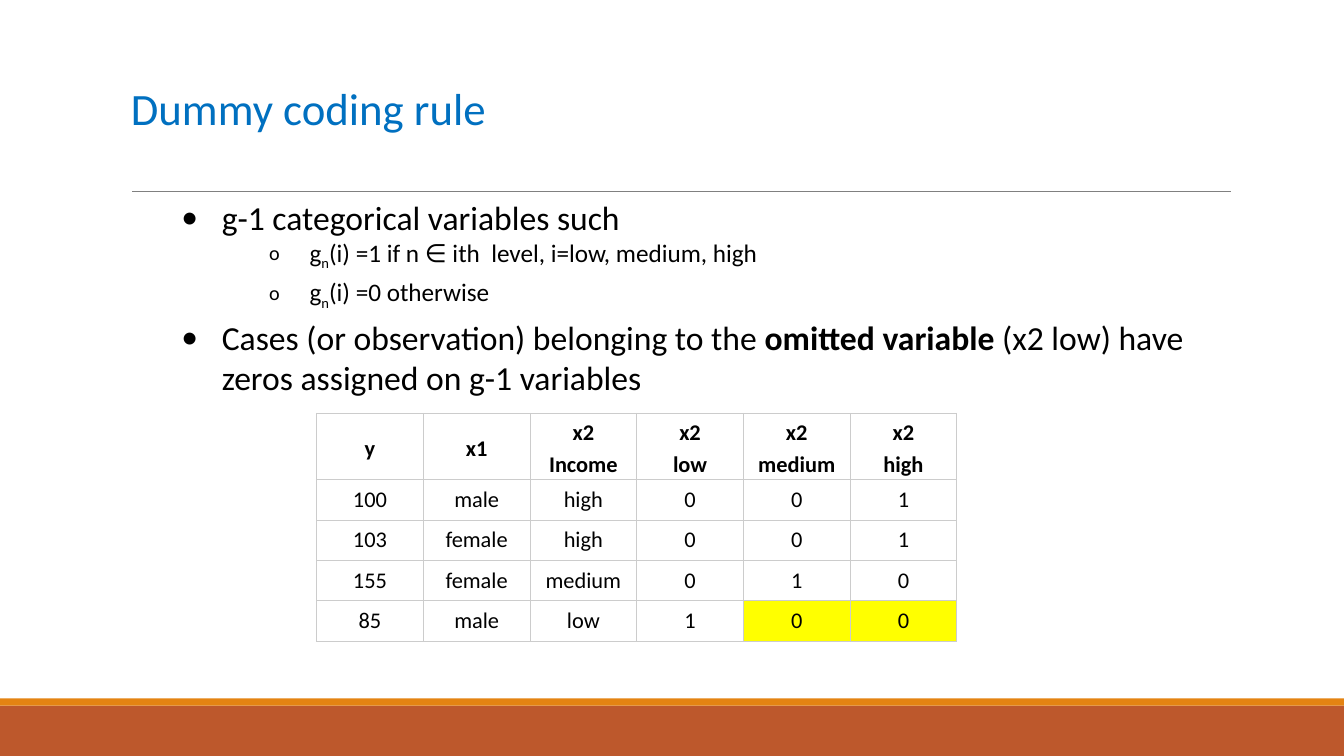
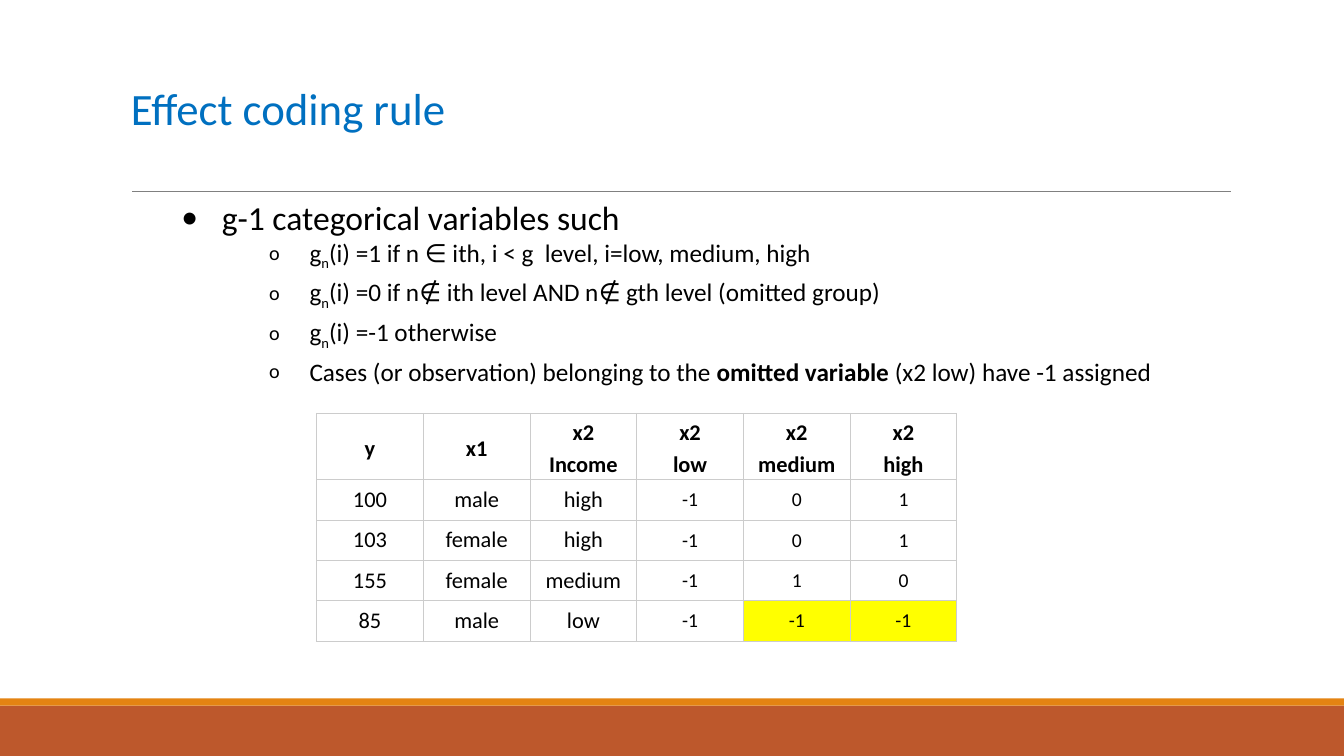
from lxml.etree import SubElement
from pptx import Presentation
from pptx.dml.color import RGBColor
from pptx.enum.shapes import MSO_CONNECTOR, MSO_SHAPE
from pptx.enum.text import MSO_ANCHOR, PP_ALIGN
from pptx.oxml.ns import qn
from pptx.util import Inches, Pt

# Shared look
FONT = "Calibri"
TITLE_BLUE, TEXT, RULE_GREY = "0070C0", "000000", "808080"
BAND_RUST, BAND_ORANGE = "BD582C", "E48312"
GRID_GREY, HIGHLIGHT = "CCCCCC", "FFFF00"
SLIDE_WIDTH, SLIDE_HEIGHT = 13.33, 7.5

# Bullet levels: character, size in percent, text size, indent, space after
MAIN = ("•", 100, 24, 1.0, 0)
SUB = ("o", 80, 18, 1.87, 4)
HANGING = 0.4

# Table contents shared by both coding schemes
HEADERS = ["y", "x1", "x2\nIncome", "x2\nlow", "x2\nmedium", "x2\nhigh"]
CASES = [
    ["100", "male", "high"],
    ["103", "female", "high"],
    ["155", "female", "medium"],
    ["85", "male", "low"],
]
TABLE_WIDTH, HEADER_HEIGHT, CASE_HEIGHT = 6.35, 0.66, 0.4


def color(hex_value):
    return RGBColor.from_string(hex_value)


def style_font(font, size, hex_value=TEXT, bold=False):
    font.name, font.size, font.bold = FONT, Pt(size), bold
    font.color.rgb = color(hex_value)


def add_band(slide, top, height, hex_value):
    band = slide.shapes.add_shape(
        MSO_SHAPE.RECTANGLE, 0, Inches(top), Inches(SLIDE_WIDTH), Inches(height))
    band.shadow.inherit = False
    band.fill.solid()
    band.fill.fore_color.rgb = color(hex_value)
    band.line.fill.background()


def add_rule(slide):
    rule = slide.shapes.add_connector(
        MSO_CONNECTOR.STRAIGHT, Inches(1.31), Inches(1.9), Inches(12.21), Inches(1.9))
    rule.line.color.rgb = color(RULE_GREY)
    rule.line.width = Pt(0.5)
    SubElement(rule._element.spPr, qn("a:effectLst"))


def add_text_frame(slide, top, height):
    frame = slide.shapes.add_textbox(
        Inches(1.2), Inches(top), Inches(11), Inches(height)).text_frame
    frame.word_wrap = True
    return frame


def add_title(slide, title):
    frame = add_text_frame(slide, 0.31, 1.59)
    frame.vertical_anchor = MSO_ANCHOR.MIDDLE
    heading = frame.paragraphs[0]
    heading.text = title
    heading.line_spacing = 0.85
    style_font(heading.font, 32, TITLE_BLUE)


def set_bullet(paragraph, character, percent, indent):
    properties = paragraph._p.get_or_add_pPr()
    properties.set("marL", str(Inches(indent)))
    properties.set("indent", str(-Inches(HANGING)))
    SubElement(properties, qn("a:buSzPct")).set("val", str(percent * 1000))
    SubElement(properties, qn("a:buFont")).set("typeface", FONT)
    SubElement(properties, qn("a:buChar")).set("char", character)


def add_bullets(slide, bullets):
    frame = add_text_frame(slide, 1.9, 1.98)
    frame.margin_left = frame.margin_right = 0
    for index, (level, parts) in enumerate(bullets):
        bullet = frame.add_paragraph() if index else frame.paragraphs[0]
        character, percent, size, indent, space_after = level
        set_bullet(bullet, character, percent, indent)
        bullet.space_after = Pt(space_after)
        style_font(bullet.font, size)
        for text, emphasis in parts:
            run = bullet.add_run()
            run.text = text
            if emphasis == "bold":
                run.font.bold = True
            elif emphasis == "subscript":
                run.font._element.set("baseline", "-25000")


def set_borders(cell):
    properties = cell._tc.get_or_add_tcPr()
    for side in ("lnL", "lnR", "lnT", "lnB"):
        border = SubElement(properties, qn(f"a:{side}"))
        border.set("w", str(Pt(0.75)))
        fill = SubElement(border, qn("a:solidFill"))
        SubElement(fill, qn("a:srgbClr")).set("val", GRID_GREY)


def fill_cell(cell, text, size, header=False, highlighted=False):
    set_borders(cell)
    if highlighted:
        cell.fill.solid()
        cell.fill.fore_color.rgb = color(HIGHLIGHT)
    else:
        cell.fill.background()
    cell.margin_left = cell.margin_right = Inches(0.03)
    cell.margin_top = cell.margin_bottom = Inches(0.02)
    cell.vertical_anchor = MSO_ANCHOR.MIDDLE
    cell.text_frame.text = text
    for paragraph in cell.text_frame.paragraphs:
        paragraph.alignment = PP_ALIGN.CENTER
        paragraph.line_spacing = 1.15 if header else 1.0
        style_font(paragraph.font, size, bold=header)


def add_coding_table(slide, codes, code_size):
    rows = [HEADERS] + [case + code for case, code in zip(CASES, codes)]
    heights = [HEADER_HEIGHT] + [CASE_HEIGHT] * len(CASES)
    table = slide.shapes.add_table(
        len(rows), len(HEADERS), Inches(3.14), Inches(4.1),
        Inches(TABLE_WIDTH), Inches(sum(heights))).table
    table.first_row = table.horz_banding = False
    for column in table.columns:
        column.width = Inches(TABLE_WIDTH / len(HEADERS))
    for r, (values, height) in enumerate(zip(rows, heights)):
        table.rows[r].height = Inches(height)
        for c, value in enumerate(values):
            is_code = r > 0 and c >= len(CASES[0])
            # The omitted group's codes are highlighted
            omitted = r == len(CASES) and c >= len(HEADERS) - 2
            fill_cell(table.cell(r, c), value, code_size if is_code else 16,
                      header=r == 0, highlighted=omitted)


def plain(text):
    return [(text, None)]


def indicator(condition):
    return [("g", None), ("n", "subscript"), (f"(i) ={condition}", None)]


def omitted_cases(ending):
    return [("Cases (or observation) belonging to the ", None),
            ("omitted variable ", "bold"), (f"(x2 low) have {ending}", None)]


def add_coding_slide(deck, title, bullets, codes, code_size):
    slide = deck.slides.add_slide(deck.slide_layouts[6])
    add_band(slide, 7, 0.5, BAND_RUST)
    add_band(slide, 6.93, 0.07, BAND_ORANGE)
    add_rule(slide)
    add_title(slide, title)
    add_bullets(slide, bullets)
    add_coding_table(slide, codes, code_size)


def main():
    deck = Presentation()
    deck.slide_width, deck.slide_height = Inches(SLIDE_WIDTH), Inches(SLIDE_HEIGHT)
    opening = (MAIN, plain("g-1 categorical variables such"))

    # Dummy coding
    add_coding_slide(
        deck, "Dummy coding rule",
        [opening,
         (SUB, indicator("1 if n ∈ ith  level, i=low, medium, high")),
         (SUB, indicator("0 otherwise")),
         (MAIN, omitted_cases("zeros assigned on g-1 variables"))],
        [["0", "0", "1"], ["0", "0", "1"], ["0", "1", "0"], ["1", "0", "0"]], 16)

    # Effect coding
    add_coding_slide(
        deck, "Effect coding rule",
        [opening,
         (SUB, indicator("1 if n ∈ ith, i < g  level, i=low, medium, high")),
         (SUB, indicator("0 if n∉ ith level AND n∉ gth level (omitted group)")),
         (SUB, indicator("-1 otherwise")),
         (SUB, omitted_cases("-1 assigned"))],
        [["-1", "0", "1"], ["-1", "0", "1"], ["-1", "1", "0"], ["-1", "-1", "-1"]], 14)

    deck.save("out.pptx")


if __name__ == "__main__":
    main()
